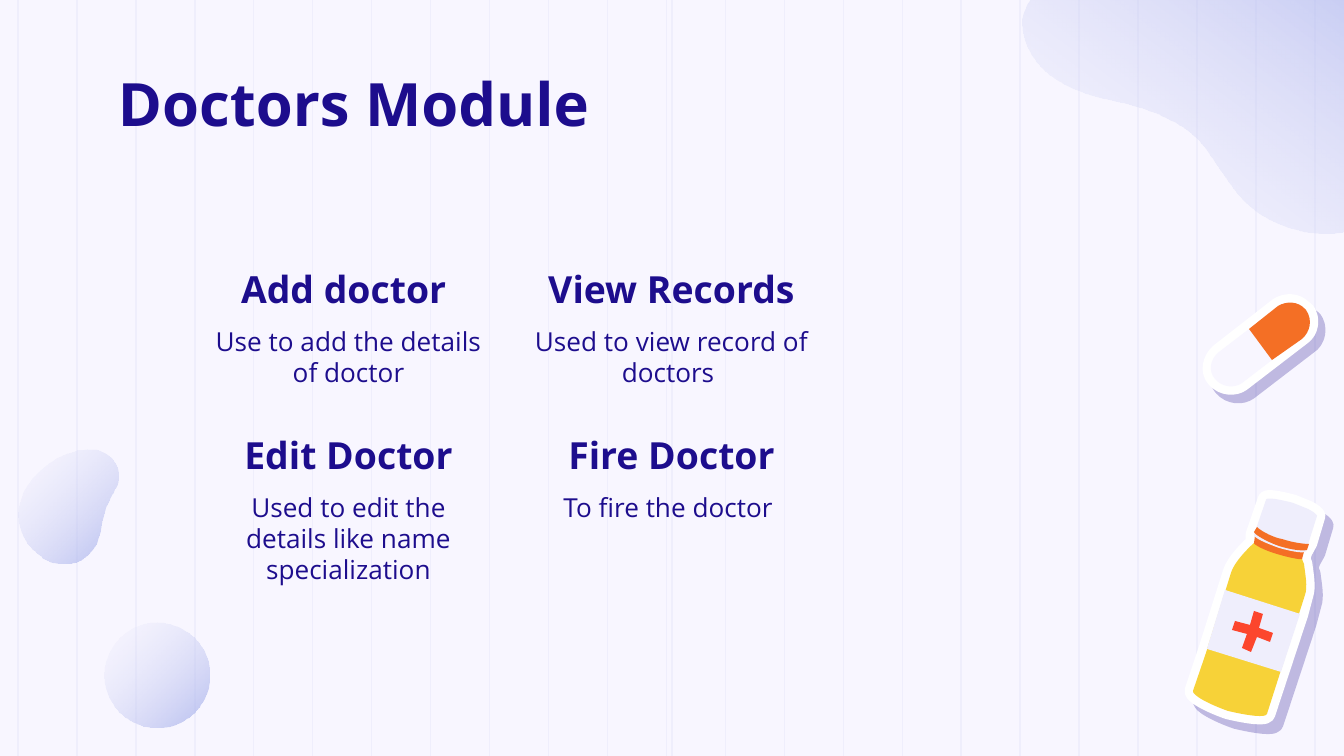
from lxml import etree
from pptx import Presentation
from pptx.dml.color import RGBColor
from pptx.enum.shapes import MSO_CONNECTOR, MSO_SHAPE
from pptx.enum.text import MSO_ANCHOR, PP_ALIGN
from pptx.oxml import parse_xml
from pptx.oxml.ns import nsdecls, qn
from pptx.util import Pt

STRAIGHT, OVAL = MSO_CONNECTOR.STRAIGHT, MSO_SHAPE.OVAL
TOP, MIDDLE = MSO_ANCHOR.TOP, MSO_ANCHOR.MIDDLE
LEFT, CENTER = PP_ALIGN.LEFT, PP_ALIGN.CENTER
PX = 914400 / 134.4
NAVY, PALE, BACKGROUND = "1D0D8D", "EFEEFC", "F8F6FF"
WHITE, ORANGE, YELLOW, RED = "FFFFFF", "F46F25", "F7D238", "FC462D"
rgb = RGBColor.from_string

prs = Presentation()
prs.slide_width, prs.slide_height = round(1344 * PX), round(756 * PX)
slide = prs.slides.add_slide(prs.slide_layouts[6])
slide.background.fill.solid()
slide.background.fill.fore_color.rgb = rgb(BACKGROUND)
shapes = slide.shapes


def add_outline(start, *steps):
    """Closed outline; a step is a line (x, y) or a Bezier (x1, y1, x2, y2, x, y)."""
    ends = [step[-2:] for step in steps]
    builder = shapes.build_freeform(*start, scale=PX)
    builder.add_line_segments(ends, close=True)
    outline = builder.convert_to_shape()
    outline.shadow.inherit = False
    outline.line.fill.background()
    min_x, min_y = (min(values) for values in zip(start, *ends))
    segments = list(outline._element.iter(qn("a:lnTo")))
    for segment, step in zip(segments, steps):
        if len(step) == 6:
            segment.tag = qn("a:cubicBezTo")
            for i in (0, 2):
                control = etree.Element(qn("a:pt"), x=str(step[i] - min_x),
                                        y=str(step[i + 1] - min_y))
                segment.insert(i // 2, control)
    return outline


def add_text(left, top, width, height, text, size, bold, align, anchor, inset_y, after):
    box = shapes.add_textbox(*(round(v * PX) for v in (left, top, width, height)))
    frame = box.text_frame
    frame.word_wrap = True
    frame.vertical_anchor = anchor
    frame.margin_left = frame.margin_right = round(13 * PX)
    frame.margin_top = frame.margin_bottom = round(inset_y * PX)
    paragraph = frame.paragraphs[0]
    paragraph.text = text
    paragraph.alignment = align
    paragraph.space_after = Pt(after)
    font = paragraph.font
    font.name, font.size, font.bold = "Open Sans", Pt(size), bold
    font.color.rgb = rgb(NAVY)


# Background stripes: an even grid plus one at the centre
for x in [18 + 58.95 * i for i in range(23)] + [672]:
    stripe = shapes.add_connector(STRAIGHT, *(round(v * PX) for v in (x, -38, x, 794)))
    stripe.line.color.rgb = rgb(PALE)
    stripe.line.width = Pt(0.75)
    etree.SubElement(stripe._element.spPr, qn("a:effectLst"))

# Soft gradient blobs
corner_blob = add_outline(
    (1068, -27), (1064, -26, 1060, -26, 1056, -23), (1041, -16, 1026, 0, 1023, 19),
    (1021, 43, 1036, 67, 1056, 79), (1077, 93, 1101, 98, 1125, 103),
    (1148, 109, 1172, 117, 1191, 133), (1214, 152, 1223, 181, 1245, 202),
    (1275, 231, 1327, 243, 1364, 226), (1400, 208, 1442, 169, 1437, 117),
    (1431, 78, 1407, 22, 1375, 8), (1375, 7, 1282, -69, 1068, -27))
side_blob = add_outline(
    (43, 558), (54, 564, 69, 566, 81, 560), (90, 554, 97, 546, 99, 536),
    (102, 527, 102, 516, 106, 507), (110, 495, 122, 484, 118, 470),
    (116, 460, 108, 453, 97, 450), (71, 446, 43, 461, 26, 488),
    (23, 493, 20, 501, 19, 509), (17, 528, 26, 546, 42, 556))
ball = shapes.add_shape(OVAL, *(round(v * PX) for v in (105, 623, 105, 105)))
ball.shadow.inherit = False
ball.line.fill.background()
for blob, angle in ((corner_blob, 53.5), (side_blob, 315), (ball, 315)):
    blob.fill.gradient()
    blob.fill.gradient_angle = angle
    stops = blob.fill.gradient_stops
    for stop, position, color, alpha in zip(stops, (0, 1), (PALE, "9BA6E9"), (13, 69)):
        stop.position = position
        stop.color.rgb = rgb(color)
        tint = stop._gs.find(qn("a:srgbClr"))
        etree.SubElement(tint, qn("a:alpha")).set("val", str(alpha * 1000))

# Title and the headings of the two-by-two grid of functions
functions = (
    ("Add doctor ", "Use to add the details of doctor"),
    ("View Records", "Used to view record of doctors "),
    ("Edit Doctor", "Used to edit the details like name specialization"),
    ("Fire Doctor", "To fire the doctor "))
corners = [(198 + column * 323, 264 + row * 166) for row in (0, 1) for column in (0, 1)]
add_text(105, 54, 1134, 103, "Doctors Module", 32, True, LEFT, TOP, 13, 0)
for (left, top), (heading, _) in zip(corners, functions):
    add_text(left, top, 301, 50, heading, 20, True, CENTER, MIDDLE, 13, 0)

# Medicine bottle and capsule, back to front
bottle_edge = (
    (1293, 503), (1278, 499, 1266, 497, 1266, 500), (1254, 535), (1254, 543),
    (1253, 544, 1235, 560, 1231, 573), (1207, 649), (1193, 691),
    (1192, 695, 1208, 704, 1228, 711), (1249, 716, 1266, 718, 1267, 714),
    (1300, 614), (1305, 595), (1308, 587, 1305, 573, 1304, 564),
    (1302, 560, 1302, 558, 1302, 558), (1304, 552), (1309, 543), (1317, 516),
    (1317, 515, 1314, 512, 1308, 509))
bottle_body = (
    (1254, 543), (1253, 544, 1235, 560, 1231, 573), (1206, 653), (1193, 691),
    (1192, 695, 1208, 704, 1228, 711), (1249, 716, 1266, 718, 1267, 714),
    (1305, 595), (1308, 587, 1305, 573, 1304, 564), (1302, 560, 1302, 558, 1302, 558))
neck_ring = ((1255, 536), (1254, 543), (1253, 544, 1263, 550, 1277, 554),
             (1290, 558, 1302, 560, 1302, 559), (1304, 552))
label = ((1225, 590), (1207, 649), (1281, 672), (1300, 614))
cross = ((1254, 611), (1250, 625), (1235, 621), (1232, 630), (1247, 634), (1242, 648),
         (1251, 652), (1257, 637), (1270, 642), (1273, 633), (1259, 628), (1263, 614))
cap = ((1293, 503), (1278, 499, 1266, 497, 1266, 500), (1254, 535),
       (1254, 538, 1265, 543, 1279, 548), (1293, 552, 1305, 554, 1306, 551),
       (1317, 516), (1317, 515, 1314, 512, 1308, 509))
cap_band = ((1257, 527), (1254, 532), (1254, 534, 1265, 541, 1279, 546),
            (1292, 550, 1302, 551, 1307, 550), (1309, 544),
            (1305, 544, 1294, 543, 1282, 539), (1275, 538, 1262, 532, 1257, 527))
capsule_edge = (
    (1304, 309), (1297, 301, 1286, 301, 1278, 306), (1219, 352),
    (1211, 359, 1208, 371, 1215, 379), (1223, 388, 1235, 388, 1242, 383),
    (1302, 337), (1310, 332, 1313, 319, 1306, 310))
capsule_pale = (
    (1249, 329), (1219, 352), (1210, 359, 1208, 371, 1215, 379),
    (1223, 388, 1235, 388, 1242, 383), (1272, 360))
capsule_orange = (
    (1305, 309), (1298, 301, 1286, 301, 1278, 306), (1249, 329), (1272, 360),
    (1302, 339), (1310, 332, 1313, 320, 1306, 310))

for outline, color, shadow_pt in (
        (bottle_edge, WHITE, 6.8), (bottle_body, YELLOW, 0), (neck_ring, ORANGE, 0),
        (label, PALE, 0), (cross, RED, 0), (cap, PALE, 0), (cap_band, ORANGE, 0),
        (capsule_edge, WHITE, 6), (capsule_pale, BACKGROUND, 0), (capsule_orange, ORANGE, 0)):
    part = add_outline(*outline)
    part.fill.solid()
    part.fill.fore_color.rgb = rgb(color)
    if shadow_pt:
        part.line.color.rgb = rgb(color)
        part.line.width = Pt(9)
        part._element.spPr.find(qn("a:effectLst")).append(parse_xml(
            f'<a:outerShdw {nsdecls("a")} dist="{Pt(shadow_pt)}" dir="3000000" '
            f'algn="bl" rotWithShape="0"><a:srgbClr val="{NAVY}">'
            '<a:alpha val="25000"/></a:srgbClr></a:outerShdw>'))

# Descriptions below the headings
for (left, top), (_, description) in zip(corners, functions):
    add_text(left, top + 61, 301, 73, description, 14, False, CENTER, TOP, 0, 16)
prs.save("out.pptx")
